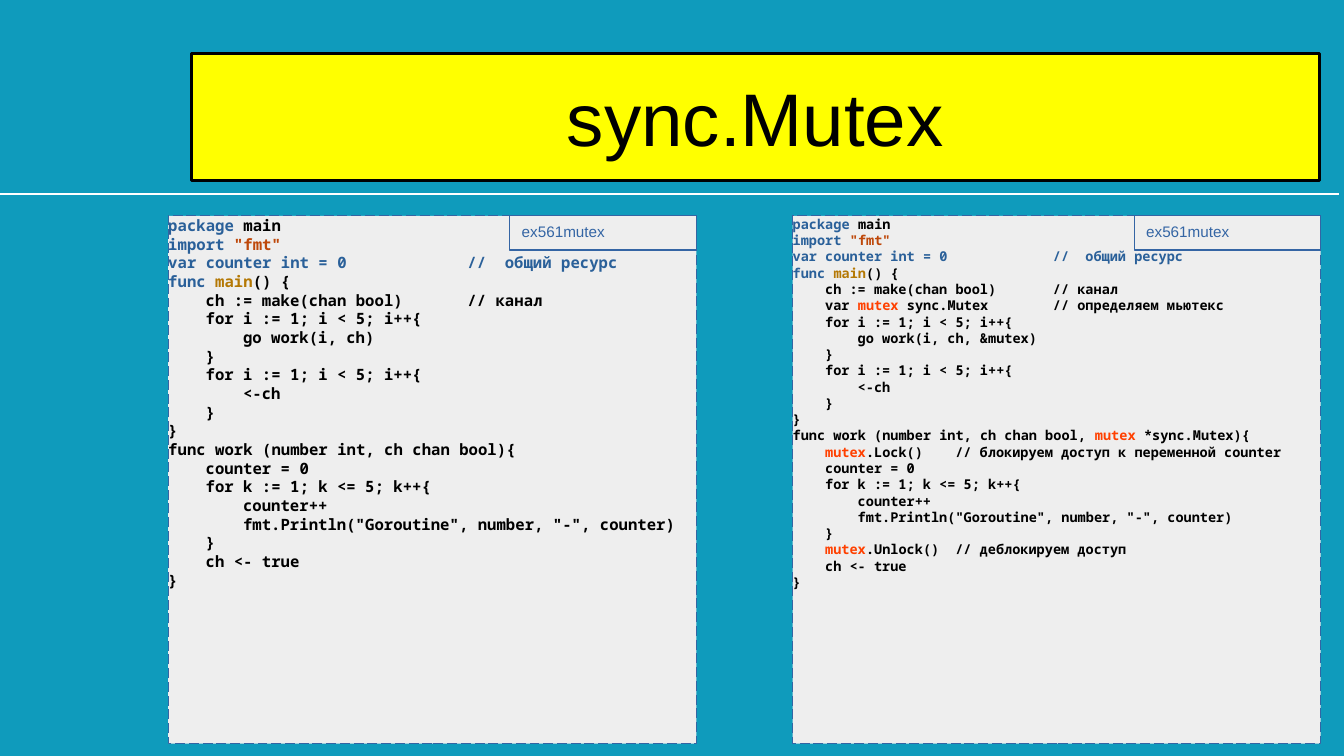
from pptx import Presentation
from pptx.dml.color import RGBColor
from pptx.enum.dml import MSO_LINE
from pptx.enum.shapes import MSO_CONNECTOR, MSO_SHAPE
from pptx.enum.text import MSO_ANCHOR, PP_ALIGN
from pptx.oxml.ns import qn
from pptx.util import Inches, Pt
from lxml import etree

RECT, STRAIGHT = MSO_SHAPE.RECTANGLE, MSO_CONNECTOR.STRAIGHT
LONG_DASH = MSO_LINE.LONG_DASH
TOP, MIDDLE = MSO_ANCHOR.TOP, MSO_ANCHOR.MIDDLE
LEFT, CENTER = PP_ALIGN.LEFT, PP_ALIGN.CENTER

THEME = {
    "background": "0F9BBC", "rule": "FFFFFF", "title_fill": "FFFF00",
    "panel": "EEEEEE", "border": "3465A4", "plain": "000000",
    "keyword": "2A6099", "string": "BE480A", "function": "B47804",
    "mutex": "FF4000",
    "font": "Arial", "code_font": "Noto Sans Mono",
    "title_size": 44, "tag_size": 9,
}
CHAR_WIDTH = 0.6      # monospaced advance, in ems
LINE_HEIGHT = 1.2     # code line pitch, in ems
CODE_STOPS = (4, 8, 32, 36)   # tab stops, in characters
LOCK_STOPS = (4, 20)


def color(name):
    """Return a theme colour."""
    return RGBColor.from_string(THEME[name])


def add_box(shapes, box, fill, line, width, anchor, inset=(0, 0)):
    """Add a rectangle at box (inches) and return it."""
    sp = shapes.add_shape(RECT, *(Inches(v) for v in box))
    sp.shadow.inherit = False
    if fill:
        sp.fill.solid()
        sp.fill.fore_color.rgb = color(fill)
    else:
        sp.fill.background()
    sp.line.color.rgb = color(line)
    sp.line.width = Pt(width)
    tf = sp.text_frame
    tf.word_wrap = True
    tf.vertical_anchor = anchor
    tf.margin_left = tf.margin_right = Inches(inset[0])
    tf.margin_top = tf.margin_bottom = Inches(inset[1])
    return sp


# A code line is a list of (colour, text) runs, or a string when all plain.
HEADER = [
    [("keyword", "package"), ("plain", " main")],
    [("keyword", "import "), ("string", '"fmt"')],
    [("keyword", "var counter int = 0\t//\tобщий ресурс")],
    [("keyword", "func "), ("function", "main"), ("plain", "() {")],
    "\tch := make(chan bool)\t// канал",
]
LOOP = "\tfor i := 1; i < 5; i++{"
WAIT = ["\t}", LOOP, "\t\t<-ch", "\t}", "}"]
COUNT = [
    "\tcounter = 0",
    "\tfor k := 1; k <= 5; k++{",
    "\t\tcounter++",
    '\t\tfmt.Println("Goroutine", number, "-", counter)',
    "\t}",
]
FINISH = ["\tch <- true", "}"]

unsafe_code = [
    *HEADER, LOOP, "\t\tgo work(i, ch)", *WAIT,
    "func work (number int, ch chan bool){",
    *COUNT, *FINISH,
]
mutex_code = [
    *HEADER,
    [("plain", "\tvar "), ("mutex", "mutex"),
     ("plain", " sync.Mutex\t// определяем мьютекс")],
    LOOP, "\t\tgo work(i, ch, &mutex)", *WAIT,
    [("plain", "func work (number int, ch chan bool,"), ("mutex", " mutex "),
     ("plain", "*sync.Mutex){")],
    [("plain", "\t"), ("mutex", "mutex"),
     ("plain", ".Lock()\t// блокируем доступ к переменной counter")],
    *COUNT,
    [("plain", "\t"), ("mutex", "mutex"),
     ("plain", ".Unlock()\t// деблокируем доступ")],
    *FINISH,
]

prs = Presentation()
prs.slide_width, prs.slide_height = Inches(11.02), Inches(6.2)
s = prs.slides.add_slide(prs.slide_layouts[6])
s.background.fill.solid()
s.background.fill.fore_color.rgb = color("background")

# Rule under the title
rule = s.shapes.add_connector(STRAIGHT, 0, Inches(1.59), Inches(10.98), Inches(1.59))
rule.line.color.rgb = color("rule")
rule.line.width = Pt(1.5)
etree.SubElement(rule._element.spPr, qn("a:effectLst"))

# Title
title = add_box(s.shapes, (1.57, 0.44, 9.25, 1.04), "title_fill", "plain", 1.5, MIDDLE)
p = title.text_frame.paragraphs[0]
p.text = "sync.Mutex"
p.alignment = CENTER
p.font.name = THEME["font"]
p.font.size = Pt(THEME["title_size"])
p.font.color.rgb = color("plain")

# Code panels, each with a file tag in its top right corner
PANEL_TOP, PANEL_SIDE = 1.77, 4.33
TAG_WIDTH, TAG_HEIGHT = 1.53, 0.28
for left, size, code in ((6.5, 8, mutex_code), (1.38, 9.2, unsafe_code)):
    group = s.shapes.add_group_shape()
    panel = add_box(group.shapes, (left, PANEL_TOP, PANEL_SIDE, PANEL_SIDE),
                    "panel", "border", 0, TOP)
    panel.line.dash_style = LONG_DASH
    tf = panel.text_frame
    for i, line in enumerate(code):
        runs = [("plain", line)] if isinstance(line, str) else line
        p = tf.add_paragraph() if i else tf.paragraphs[0]
        p.alignment = LEFT
        p.line_spacing = Pt(size * LINE_HEIGHT)
        text = "".join(part for _, part in runs)
        stops = LOCK_STOPS if "lock()" in text.lower() else CODE_STOPS
        tabs = etree.SubElement(p._p.get_or_add_pPr(), qn("a:tabLst"))
        for stop in stops:
            position = Pt(stop * CHAR_WIDTH * size)
            etree.SubElement(tabs, qn("a:tab"), pos=str(position), algn="l")
        p.font.name = THEME["code_font"]
        p.font.size = Pt(size)
        p.font.bold = True
        for name, part in runs:
            r = p.add_run()
            r.text = part
            r.font.color.rgb = color(name)

    tag_left = left + PANEL_SIDE - TAG_WIDTH
    tag = add_box(group.shapes, (tag_left, PANEL_TOP, TAG_WIDTH, TAG_HEIGHT),
                  None, "border", 0, TOP, (0.1, 0.05))
    p = tag.text_frame.paragraphs[0]
    p.text = "ex561mutex"
    p.alignment = LEFT
    p.font.name = THEME["font"]
    p.font.size = Pt(THEME["tag_size"])
    p.font.color.rgb = color("border")

prs.save("out.pptx")
